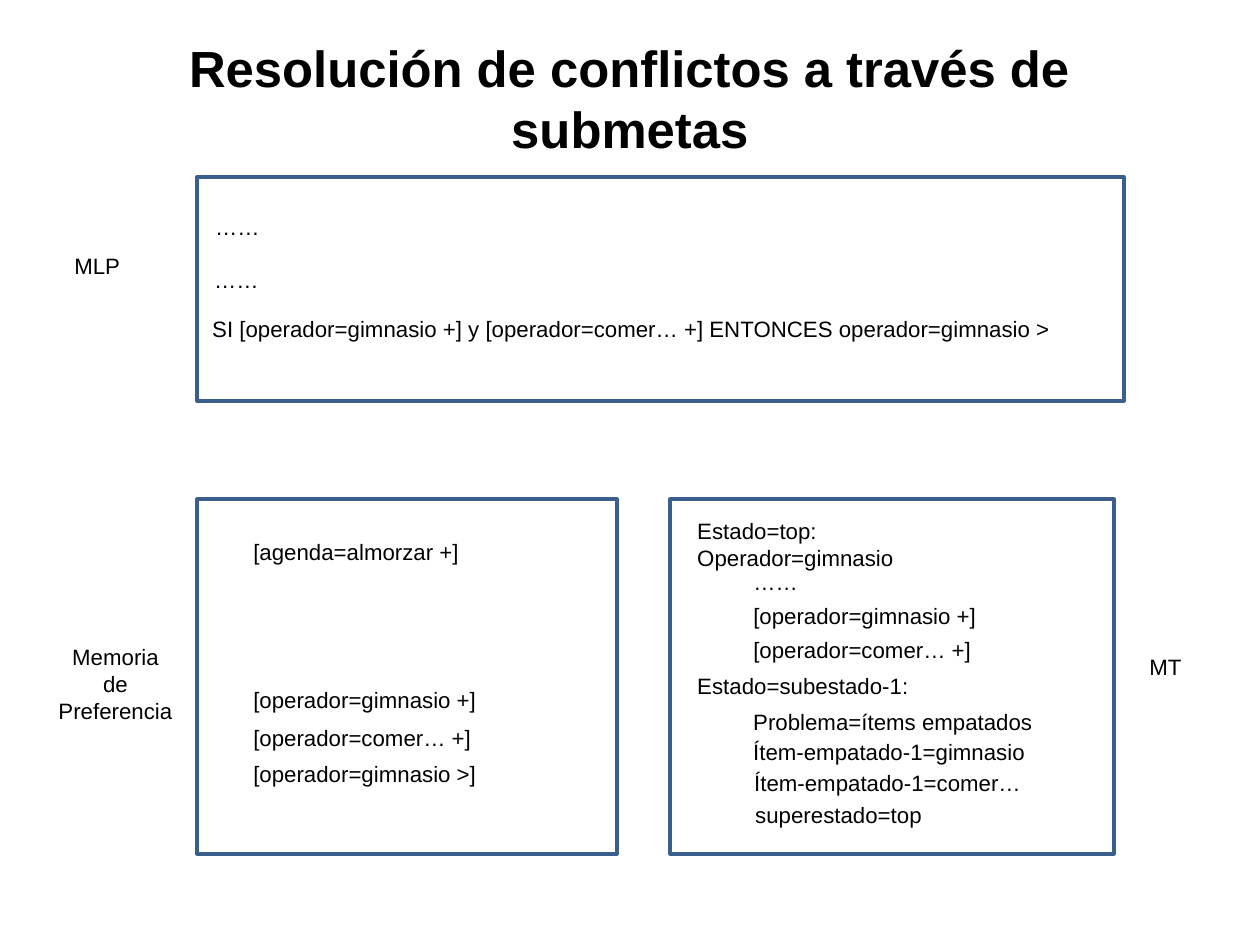
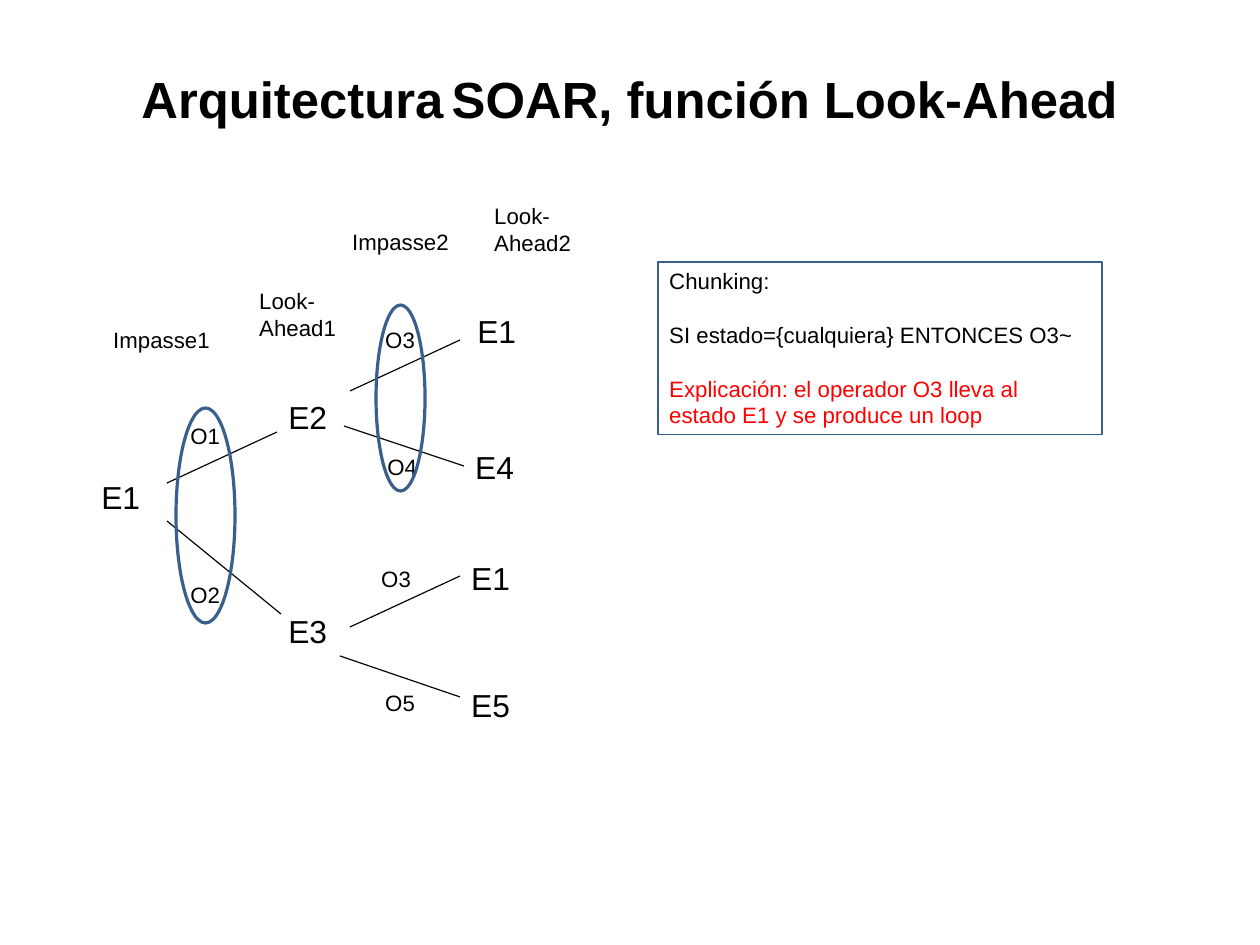
from dataclasses import dataclass
from lxml import etree
from pptx import Presentation
from pptx import util as u
from pptx.dml.color import RGBColor
from pptx.enum import shapes, text
from pptx.oxml.ns import qn

PX = 8000  # EMU in one px; a slide is 1260 by 945 px


@dataclass(frozen=True)
class Theme:
    font: str = "Arial"
    ink: RGBColor = RGBColor(0, 0, 0)
    edge: RGBColor = RGBColor(0x3A, 0x5F, 0x8C)
    alert: RGBColor = RGBColor(0xFF, 0, 0)
    head: int = 32
    state: int = 20
    gap: int = 18
    body: int = 14
    thick: float = 2
    thin: float = 0.75


th = Theme()
LEFT, MID = text.PP_ALIGN.LEFT, text.PP_ALIGN.CENTER
RECT, OVAL = shapes.MSO_SHAPE.RECTANGLE, shapes.MSO_SHAPE.OVAL


def write(slide, box, paras, align=LEFT, shape=None, space=0):
    """Each paragraph is a list of runs: (words, size, bold, colour)."""
    shape = shape or slide.shapes.add_textbox(*[n * PX for n in box])
    frame = shape.text_frame
    frame.word_wrap = True
    frame.vertical_anchor = text.MSO_ANCHOR.TOP
    for i, runs in enumerate(paras):
        para = frame.paragraphs[0] if i == 0 else frame.add_paragraph()
        para.alignment = align
        if i and space:
            para.space_before = u.Pt(space)
        for words, size, bold, hue in runs:
            run = para.add_run()
            run.text = words
            font = run.font
            font.name, font.size, font.bold = th.font, u.Pt(size), bold
            font.color.rgb = hue
    return frame


def ring(slide, kind, box, width):
    """Draw an unfilled outline."""
    shape = slide.shapes.add_shape(kind, *[n * PX for n in box])
    shape.shadow.inherit = False
    shape.fill.background()
    shape.line.color.rgb = th.edge
    shape.line.width = u.Pt(width)
    return shape


deck = Presentation()
deck.slide_width, deck.slide_height = 1260 * PX, 945 * PX

# Slides and titles
titles = [
    [("Resolución de conflictos a través de submetas", th.head, True, th.ink)],
    [("Arquitectura", th.head, True, th.ink),
     (" ", th.gap, False, th.ink),
     ("SOAR, función Look-Ahead", th.head, True, th.ink)],
]
pages = []
for runs in titles:
    page = deck.slides.add_slide(deck.slide_layouts[6])
    title = write(page, (63, 19, 1134, 158), [runs], MID)
    title.vertical_anchor = text.MSO_ANCHOR.MIDDLE
    title.margin_top = title.margin_bottom = 11 * PX
    pages.append(page)
rules, tree = pages

# Slide 1: the three memories
for box in [(197, 177, 927, 224), (197, 499, 420, 355), (670, 499, 444, 355)]:
    ring(rules, RECT, box, th.thick)

# Slide 1: names beside the memories
for words, box, align in [
    ("MLP", (63, 247, 104, 39), LEFT),
    ("Memoria de Preferencia", (46, 638, 139, 93), MID),
    ("MT", (1138, 648, 104, 39), LEFT),
]:
    write(rules, box, [[(words, th.body, False, th.ink)]], align)

# Slide 1: contents of the memories
for x, y, wide, words in [
    (204, 208, 639, "……"),
    (203, 261, 696, "……"),
    (201, 310, 937, "SI [operador=gimnasio +] y [operador=comer… +] "
                    "ENTONCES operador=gimnasio >"),
    (242, 533, 363, "[agenda=almorzar +]"),
    (242, 681, 363, "[operador=gimnasio +]"),
    (242, 719, 363, "[operador=comer… +]"),
    (242, 755, 363, "[operador=gimnasio >]"),
    (686, 512, 274, "Estado=top:\nOperador=gimnasio"),
    (742, 563, 375, "……"),
    (742, 597, 375, "[operador=gimnasio +]"),
    (742, 631, 375, "[operador=comer… +]"),
    (686, 667, 274, "Estado=subestado-1:"),
    (742, 703, 313, "Problema=ítems empatados"),
    (742, 733, 313, "Ítem-empatado-1=gimnasio"),
    (743, 764, 313, "Ítem-empatado-1=comer…"),
    (744, 796, 313, "superestado=top"),
]:
    lines = words.split("\n")
    write(rules, (x, y, wide, 13 + 26 * len(lines)),
          [[(line, th.body, False, th.ink)] for line in lines])

# Slide 2: branches of the tree
for x1, y1, x2, y2 in [
    (167, 483, 277, 432), (350, 391, 460, 340), (350, 627, 460, 576),
    (167, 521, 281, 614), (344, 426, 464, 466), (340, 656, 460, 697),
]:
    line = tree.shapes.add_connector(
        shapes.MSO_CONNECTOR.STRAIGHT, x1 * PX, y1 * PX, x2 * PX, y2 * PX)
    line.line.color.rgb = th.ink
    line.line.width = u.Pt(th.thin)
    etree.SubElement(line._element.spPr, qn("a:effectLst"))

# Slide 2: states, operators and stage names
states = [("E1", 90, 472), ("E2", 277, 392), ("E3", 277, 606), ("E1", 466, 306),
          ("E4", 464, 442), ("E1", 460, 553), ("E5", 460, 680)]
opers = [("O1", 179, 417), ("O2", 179, 576), ("O3", 374, 321),
         ("O4", 376, 448), ("O3", 370, 560), ("O5", 374, 684)]
stages = [("Impasse1", 102, 321, 146, 39), ("Look-Ahead1", 248, 282, 102, 65),
          ("Impasse2", 341, 223, 126, 39), ("Look-Ahead2", 483, 197, 122, 65)]
marks = [(s, (67, 50), th.state) for s in states]
marks += [(o, (59, 39), th.body) for o in opers]
marks += [(s[:3], s[3:], th.body) for s in stages]
for (words, x, y), area, size in marks:
    write(tree, (x, y, *area), [[(words, size, False, th.ink)]])

# Slide 2: rings around the impasses
for box in [(176, 408, 59, 215), (376, 305, 49, 186)]:
    ring(tree, OVAL, box, th.thick)

# Slide 2: chunking note
note = [
    ("Chunking:", th.ink),
    ("SI estado={cualquiera} ENTONCES O3~", th.ink),
    ("Explicación: el operador O3 lleva al estado E1 y se produce un loop", th.alert),
]
box = (658, 262, 444, 173)
write(tree, box, [[(words, th.body, False, hue)] for words, hue in note],
      shape=ring(tree, RECT, box, th.thin), space=17)

deck.save("out.pptx")
